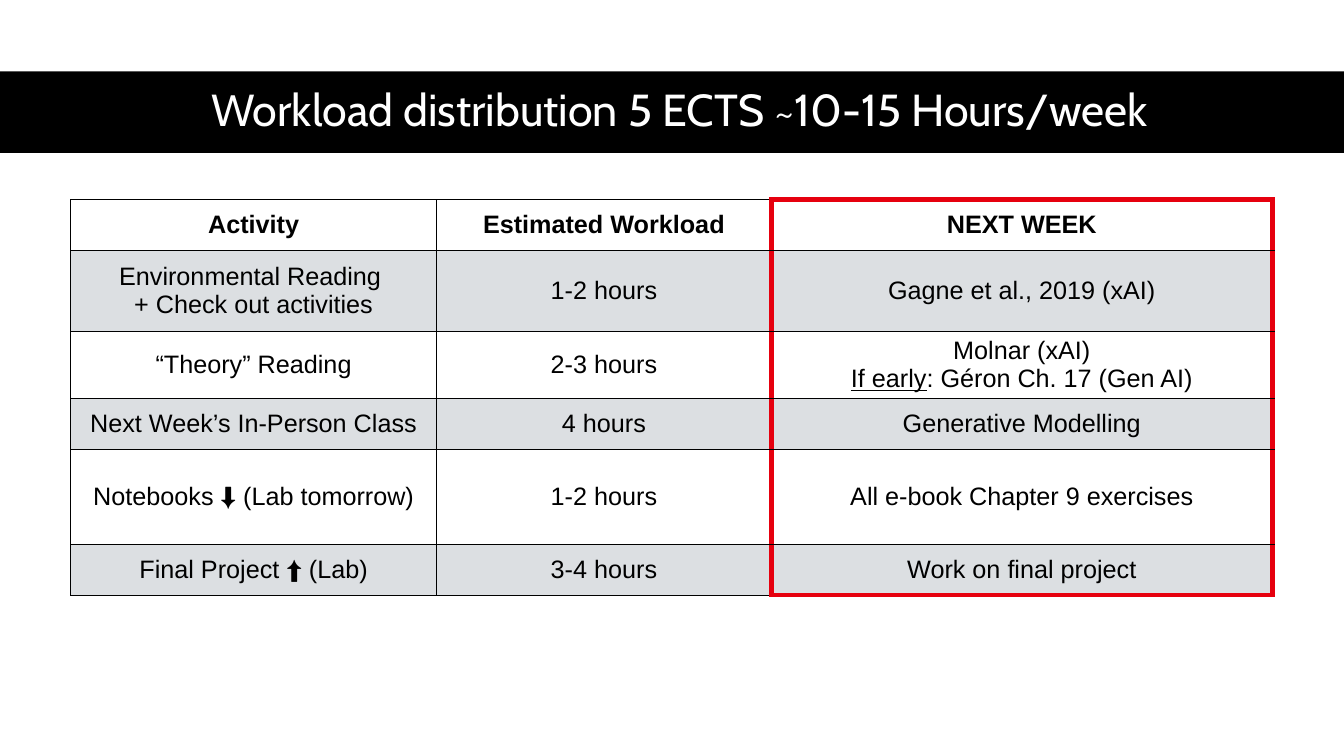
from lxml.etree import SubElement
from pptx import Presentation
from pptx.dml.color import RGBColor
from pptx.enum.shapes import MSO_SHAPE
from pptx.enum.text import MSO_ANCHOR, PP_ALIGN
from pptx.oxml.ns import qn
from pptx.util import Pt

BLACK = RGBColor(0x00, 0x00, 0x00)
WHITE = RGBColor(0xFF, 0xFF, 0xFF)
GREY = RGBColor(0xDC, 0xDF, 0xE2)
RED = RGBColor(0xE6, 0x00, 0x0E)

SLIDE_WIDTH, SLIDE_HEIGHT = 960, 540
COLUMN_WIDTHS = [261.5, 239, 358]
ROW_HEIGHTS = [36.5, 57.8, 47.1, 36.5, 67.8, 36.5]
CELL_MARGIN = 3.6
NEXT_WEEK_COLUMN = 2

# A cell is a string, or a list of (text, format) runs.
WORKLOAD = [
    ["Activity", "Estimated Workload", "NEXT WEEK"],
    ["Environmental Reading \n+ Check out activities", "1-2 hours", "Gagne et al., 2019 (xAI)"],
    ["“Theory” Reading", "2-3 hours",
     [("Molnar (xAI)\n", {}), ("If early", {"underline": True}), (": Géron Ch. 17 (Gen AI)", {})]],
    ["Next Week’s In-Person Class", "4 hours", "Generative Modelling"],
    [[("Notebooks ", {}), ("⬇️ ", {"bold": True}), ("(Lab tomorrow)", {})],
     "1-2 hours", "All e-book Chapter 9 exercises"],
    [[("Final Project ", {}), ("⬆️ ", {"bold": True}), ("(Lab)", {})],
     "3-4 hours", "Work on final project"],
]


def write_text(paragraph, text, size=18, font="Arial", color=BLACK, bold=False, underline=False):
    """Append text to the paragraph, turning each newline into a line break."""
    paragraph.alignment = PP_ALIGN.CENTER
    for index, line in enumerate(text.split("\n")):
        if index:
            paragraph.add_line_break()
        if line:
            run = paragraph.add_run()
            run.text = line
            run.font.name = font
            run.font.size = Pt(size)
            run.font.bold = bold
            run.font.underline = underline
            run.font.color.rgb = color


def add_title_band(slide, left, top, width, height):
    band = slide.shapes.add_shape(MSO_SHAPE.RECTANGLE, Pt(left), Pt(top), Pt(width), Pt(height))
    band.shadow.inherit = False
    band.fill.solid()
    band.fill.fore_color.rgb = BLACK
    band.line.fill.background()

    title = slide.shapes.title
    title.element.addprevious(band.element)
    title.left, title.top = Pt(left + 44), Pt(top - 0.5)
    title.width, title.height = Pt(width - 77), Pt(height)
    title.text_frame.vertical_anchor = MSO_ANCHOR.MIDDLE
    paragraph = title.text_frame.paragraphs[0]
    paragraph.line_spacing = 0.9
    write_text(paragraph, "Workload distribution 5 ECTS ~10-15 Hours/week",
               size=32, font="Cabin", color=WHITE)


def set_border(cell, side, color, width):
    properties = cell._tc.get_or_add_tcPr()
    line = SubElement(properties, qn(f"a:ln{side}"), w=str(Pt(width)))
    fill = SubElement(line, qn("a:solidFill"))
    SubElement(fill, qn("a:srgbClr"), val=str(color))


def highlighted_sides(row, column):
    """Sides of a cell that lie on the frame around the next-week column."""
    if column == NEXT_WEEK_COLUMN - 1:
        return "R"
    if column != NEXT_WEEK_COLUMN:
        return ""
    return "LR" + ("T" if row == 0 else "") + ("B" if row == len(WORKLOAD) - 1 else "")


def fill_cell(cell, content, row, column):
    highlighted = highlighted_sides(row, column)
    for side in "LRTB":
        if side in highlighted:
            set_border(cell, side, RED, 3.75)
        else:
            set_border(cell, side, BLACK, 0.75)
    if row % 2:
        cell.fill.solid()
        cell.fill.fore_color.rgb = GREY
    else:
        cell.fill.background()
    cell.vertical_anchor = MSO_ANCHOR.MIDDLE
    cell.margin_left = cell.margin_right = Pt(CELL_MARGIN)
    cell.margin_top = cell.margin_bottom = Pt(CELL_MARGIN)
    runs = [(content, {"bold": row == 0})] if isinstance(content, str) else content
    for text, text_format in runs:
        write_text(cell.text_frame.paragraphs[0], text, **text_format)


def add_workload_table(slide, left, top):
    frame = slide.shapes.add_table(len(ROW_HEIGHTS), len(COLUMN_WIDTHS), Pt(left), Pt(top),
                                   Pt(sum(COLUMN_WIDTHS)), Pt(sum(ROW_HEIGHTS)))
    table = frame.table
    table.first_row = table.horz_banding = False
    for column, width in zip(table.columns, COLUMN_WIDTHS):
        column.width = Pt(width)
    for row, height in zip(table.rows, ROW_HEIGHTS):
        row.height = Pt(height)
    for row, contents in enumerate(WORKLOAD):
        for column, content in enumerate(contents):
            fill_cell(table.cell(row, column), content, row, column)


def main():
    presentation = Presentation()
    presentation.slide_width, presentation.slide_height = Pt(SLIDE_WIDTH), Pt(SLIDE_HEIGHT)
    slide = presentation.slides.add_slide(presentation.slide_layouts[5])
    add_title_band(slide, 0, 51, SLIDE_WIDTH, 58.3)
    add_workload_table(slide, 50.4, 142.5)
    presentation.save("out.pptx")


if __name__ == "__main__":
    main()
